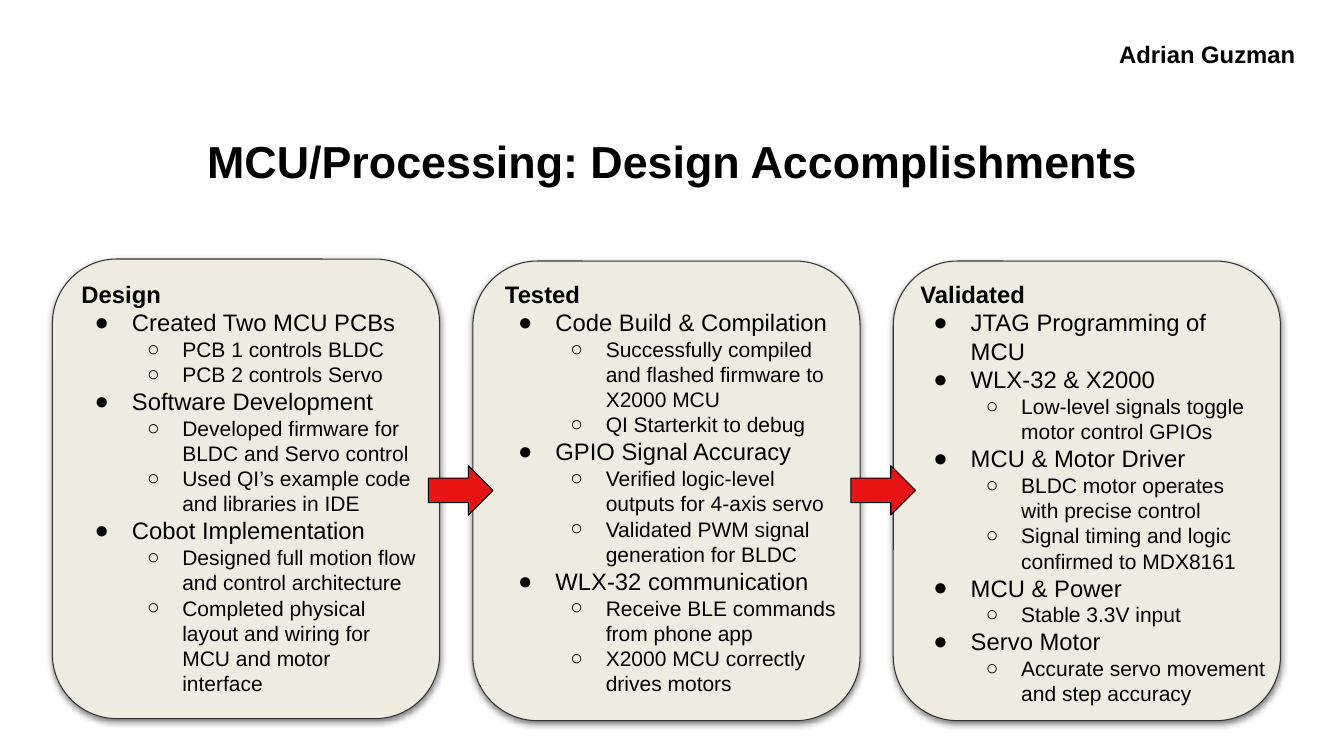
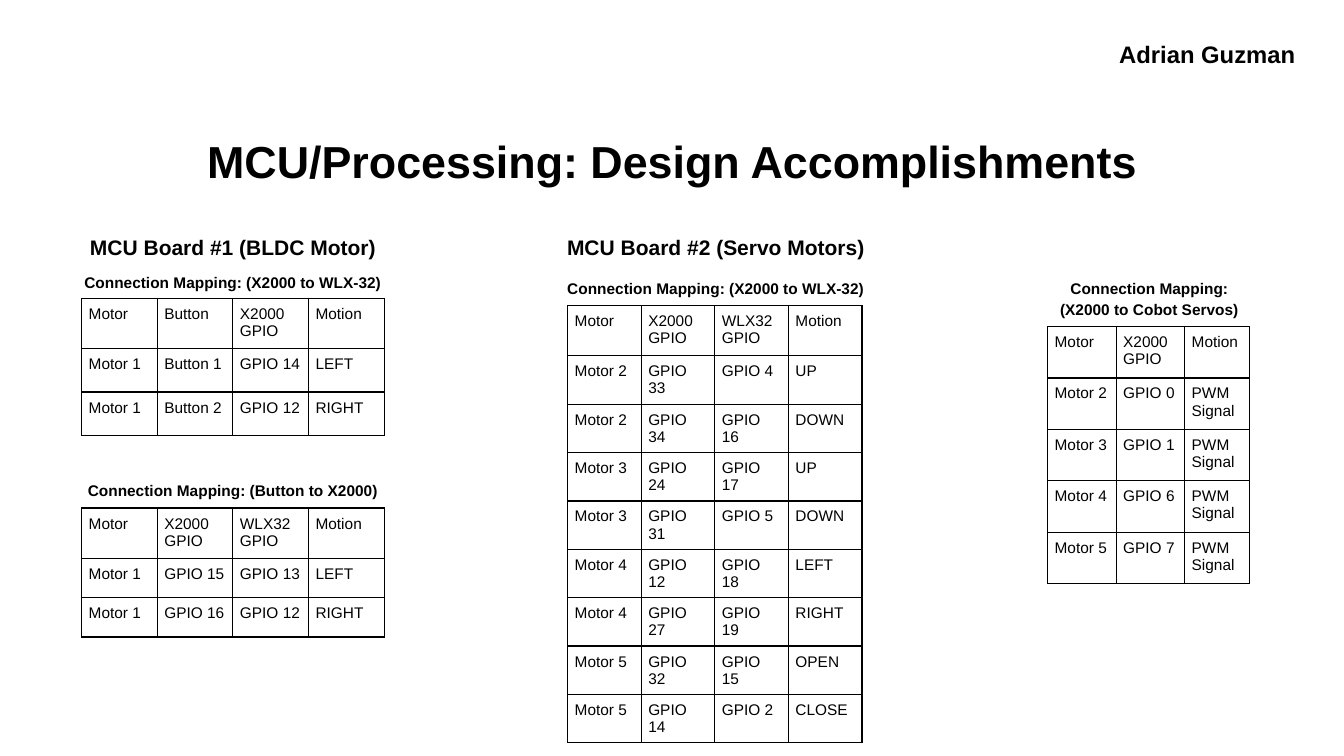
from lxml.etree import SubElement
from pptx import Presentation
from pptx.dml.color import RGBColor
from pptx.enum.shapes import MSO_SHAPE
from pptx.enum.text import MSO_ANCHOR, PP_ALIGN
from pptx.oxml import parse_xml
from pptx.oxml.ns import nsdecls, qn
from pptx.util import Inches, Pt

COLORS = {"ink": "000000", "panel": "EEECE1", "edge": "333333", "arrow": "E81313"}
FONT = "Arial"
TITLE = "MCU/Processing: Design Accomplishments"
AUTHOR = "Adrian Guzman"
BULLETS = [("●", 0.5, -0.37, 17), ("○", 1, -0.35, 15)]

PANELS = [
    ((0.52, 2.57), 0.19, 3.52, "Design", [
        ("Created Two MCU PCBs", ["PCB 1 controls BLDC", "PCB 2 controls Servo"]),
        ("Software Development", ["Developed firmware for BLDC and Servo control",
                                  "Used QI’s example code and libraries in IDE"]),
        ("Cobot Implementation", ["Designed full motion flow and control architecture",
                                  "Completed physical layout and wiring for MCU and motor interface"]),
    ]),
    ((4.69, 2.59), 0.22, 3.52, "Tested", [
        ("Code Build & Compilation", ["Successfully compiled and flashed firmware to X2000 MCU",
                                      "QI Starterkit to debug"]),
        ("GPIO Signal Accuracy", ["Verified logic-level outputs for 4-axis servo",
                                  "Validated PWM signal generation for BLDC"]),
        ("WLX-32 communication", ["Receive BLE commands from phone app",
                                  "X2000 MCU correctly drives motors"]),
    ]),
    ((8.86, 2.59), 0.17, 3.63, "Validated", [
        ("JTAG Programming of MCU", []),
        ("WLX-32 & X2000", ["Low-level signals toggle motor control GPIOs"]),
        ("MCU & Motor Driver", ["BLDC motor operates with precise control",
                                "Signal timing and logic confirmed to MDX8161"]),
        ("MCU & Power", ["Stable 3.3V input"]),
        ("Servo Motor", ["Accurate servo movement and step accuracy"]),
    ]),
]

HEADER = ["Motor", "X2000 GPIO", "WLX32 GPIO", "Motion"]
HEADINGS = [
    (0.67, "MCU Board #1 (BLDC Motor)"),
    (5.46, "MCU Board #2 (Servo Motors)"),
]
MAPPINGS = [
    ((0.67, 2.58, 3.28, 0.39), "Connection Mapping: (X2000 to WLX-32)",
     (0.81, 2.96), [0.75] * 4, [0.5, 0.43, 0.43], [
        ["Motor", "Button", "X2000 GPIO", "Motion"],
        ["Motor 1", "Button 1", "GPIO 14", "LEFT"],
        ["Motor 1", "Button 2", "GPIO 12", "RIGHT"]]),
    ((0.67, 4.65, 3.28, 0.39), "Connection Mapping: (Button to X2000)",
     (0.81, 5.04), [0.75] * 4, [0.5, 0.39, 0.39], [
        HEADER,
        ["Motor 1", "GPIO 15", "GPIO 13", "LEFT"],
        ["Motor 1", "GPIO 16", "GPIO 12", "RIGHT"]]),
    ((5.46, 2.64, 3.28, 0.39), "Connection Mapping: (X2000 to WLX-32)",
     (5.63, 3.03), [0.73] * 4, [0.5] + [0.48] * 8, [
        HEADER,
        ["Motor 2", "GPIO 33", "GPIO 4", "UP"],
        ["Motor 2", "GPIO 34", "GPIO 16", "DOWN"],
        ["Motor 3", "GPIO 24", "GPIO 17", "UP"],
        ["Motor 3", "GPIO 31", "GPIO 5", "DOWN"],
        ["Motor 4", "GPIO 12", "GPIO 18", "LEFT"],
        ["Motor 4", "GPIO 27", "GPIO 19", "RIGHT"],
        ["Motor 5", "GPIO 32", "GPIO 15", "OPEN"],
        ["Motor 5", "GPIO 14", "GPIO 2", "CLOSE"]]),
    ((10.26, 2.64, 2.28, 0.6), "Connection Mapping: (X2000 to Cobot Servos)",
     (10.39, 3.24), [0.68, 0.68, 0.64], [0.51] * 5, [
        ["Motor", "X2000 GPIO", "Motion"],
        *[[f"Motor {m}", f"GPIO {g}", "PWM Signal"]
          for m, g in [(2, 0), (3, 1), (4, 6), (5, 7)]]]),
]


def color(name):
    return RGBColor.from_string(COLORS[name])


def write(p, text, size=17, bold=False, align=None, spacing=None):
    r = p.add_run()
    r.text = text
    f = r.font
    f.name, f.size, f.bold = FONT, Pt(size), bold
    f.color.rgb = color("ink")
    p.alignment = align
    p.line_spacing = spacing


def text_box(s, box, inset_y=0.1, anchor=MSO_ANCHOR.TOP):
    tf = s.shapes.add_textbox(*map(Inches, box)).text_frame
    tf.word_wrap = True
    tf.vertical_anchor = anchor
    tf.margin_left = tf.margin_right = Inches(0.1)
    tf.margin_top = tf.margin_bottom = Inches(inset_y)
    return tf


def label(s, box, text, size, spacing=1.15, **frame):
    tf = text_box(s, box, **frame)
    write(tf.paragraphs[0], text, size, True, PP_ALIGN.CENTER, spacing)


def add_bullet(tf, text, level):
    char, margin, indent, size = BULLETS[level]
    p = tf.add_paragraph()
    p.level = level
    pPr = p._p.get_or_add_pPr()
    pPr.set("marL", str(Inches(margin)))
    pPr.set("indent", str(Inches(indent)))
    clr = SubElement(pPr, qn("a:buClr"))
    SubElement(clr, qn("a:srgbClr"), val=COLORS["ink"])
    SubElement(pPr, qn("a:buFont"), typeface=FONT)
    SubElement(pPr, qn("a:buChar"), char=char)
    write(p, text, size)


def add_block(s, kind, box, fill, line):
    sp = s.shapes.add_shape(kind, *map(Inches, box))
    sp.shadow.inherit = False
    sp.fill.solid()
    sp.fill.fore_color.rgb = color(fill)
    sp.line.color.rgb = color(line)
    sp.line.width = Pt(0.75)
    return sp


def add_panel(s, corner, dx, text_width, heading, topics):
    left, top = corner
    sp = add_block(s, MSO_SHAPE.ROUNDED_RECTANGLE, (left, top, 3.84, 4.56), "panel", "edge")
    effects = sp._element.spPr.find(qn("a:effectLst"))
    effects.append(parse_xml(
        f'<a:outerShdw {nsdecls("a")} blurRad="{Pt(4.5)}" dist="{Pt(1.5)}" dir="5400000" '
        f'algn="bl" rotWithShape="0"><a:srgbClr val="{COLORS["ink"]}">'
        '<a:alpha val="50000"/></a:srgbClr></a:outerShdw>'))
    tf = text_box(s, (left + dx, 2.67, text_width, 4.41))
    write(tf.paragraphs[0], heading, bold=True)
    for topic, details in topics:
        add_bullet(tf, topic, 0)
        for detail in details:
            add_bullet(tf, detail, 1)


def border_cell(cell):
    tcPr = cell._tc.get_or_add_tcPr()
    for i, side in enumerate(("lnL", "lnR", "lnT", "lnB")):
        tcPr.insert(i, parse_xml(
            f'<a:{side} {nsdecls("a")} w="{Pt(1)}"><a:solidFill>'
            f'<a:srgbClr val="{COLORS["ink"]}"/></a:solidFill></a:{side}>'))


def add_mapping(s, caption_box, caption, corner, cols, rows, data):
    label(s, caption_box, caption, 11)
    size = (sum(cols), sum(rows))
    table = s.shapes.add_table(len(rows), len(cols), *map(Inches, corner + size)).table
    table.first_row = table.horz_banding = False
    for col, width in zip(table.columns, cols):
        col.width = Inches(width)
    for row, height, values in zip(table.rows, rows, data):
        row.height = Inches(height)
        for cell, value in zip(row.cells, values):
            cell.margin_left = cell.margin_right = cell.margin_top = Inches(0.07)
            cell.margin_bottom = Inches(0.03)
            cell.fill.background()
            border_cell(cell)
            write(cell.text_frame.paragraphs[0], value, 11)


def new_slide(prs):
    s = prs.slides.add_slide(prs.slide_layouts[6])
    label(s, (0.67, 1.15, 12, 0.88), TITLE, 32, None, inset_y=0.05, anchor=MSO_ANCHOR.MIDDLE)
    label(s, (10.96, 0.25, 2.03, 0.49), AUTHOR, 17)
    return s


def process_slide(prs):
    s = new_slide(prs)
    for panel in PANELS:
        add_panel(s, *panel)
    for left in (4.25, 8.44):
        add_block(s, MSO_SHAPE.RIGHT_ARROW, (left, 4.62, 0.64, 0.49), "arrow", "ink")


def mapping_slide(prs):
    s = new_slide(prs)
    for left, heading in HEADINGS:
        label(s, (left, 2.19, 3.28, 0.45), heading, 15)
    for mapping in MAPPINGS:
        add_mapping(s, *mapping)


def main():
    prs = Presentation()
    prs.slide_width, prs.slide_height = Inches(13.33), Inches(7.5)
    process_slide(prs)
    mapping_slide(prs)
    prs.save("out.pptx")


if __name__ == "__main__":
    main()
